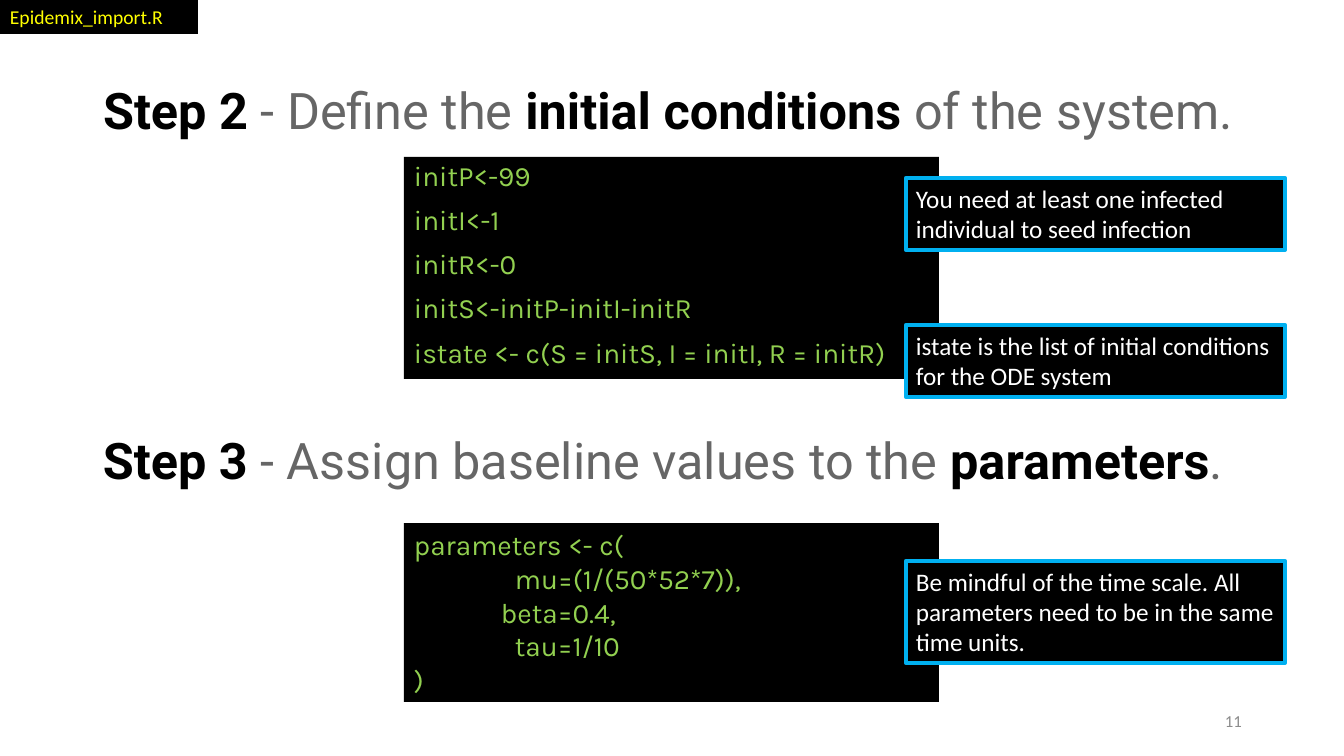
from pptx import Presentation
from pptx import util as u
from pptx.dml.color import RGBColor
from pptx.enum import shapes, text

PX = 914400 / 100.8
BLACK, GREY, GREEN, BLUE = "000000", "666666", "92D050", "00B0F0"


def px(length):
    return u.Emu(round(length * PX))


def colour(value):
    return RGBColor.from_string(value)


class Deck:
    heading_font, code_font, note_font = "Roboto", "Karla", "Calibri"

    def __init__(self):
        self.prs = Presentation()
        self.prs.slide_width, self.prs.slide_height = px(1344), px(756)
        self.slide = self.prs.slides.add_slide(self.prs.slide_layouts[5])

    def set_lines(self, shape, lines, font, size, ink,
                  align=text.PP_ALIGN.LEFT):
        frame = shape.text_frame
        frame.text = "\n".join(lines)
        frame.word_wrap = True
        frame.auto_size = text.MSO_AUTO_SIZE.NONE
        frame.vertical_anchor = text.MSO_ANCHOR.TOP
        for paragraph in frame.paragraphs:
            paragraph.alignment = align
            paragraph.font.name = font
            paragraph.font.size = u.Pt(size)
            paragraph.font.color.rgb = colour(ink)
        return frame

    def textbox(self, box):
        return self.slide.shapes.add_textbox(*map(px, box))

    def heading(self, shape, parts):
        frame = self.set_lines(shape, [""], self.heading_font, 36, BLACK)
        paragraph = frame.paragraphs[0]
        for position, part in enumerate(parts):
            strong = position % 2 == 0
            run = paragraph.add_run()
            run.text = part
            run.font.bold = strong
            run.font.color.rgb = colour(BLACK if strong else GREY)
        return frame

    def title(self, box, parts):
        title = self.slide.shapes.title
        title.left, title.top, title.width, title.height = map(px, box)
        frame = self.heading(title, parts)
        frame.vertical_anchor = text.MSO_ANCHOR.MIDDLE
        frame.paragraphs[0].line_spacing = 0.9

    def panel(self, box, lines, font, size, ink, border=None):
        panel = self.slide.shapes.add_shape(
            shapes.MSO_SHAPE.RECTANGLE, *map(px, box))
        panel.shadow.inherit = False
        panel.fill.solid()
        panel.fill.fore_color.rgb = colour(BLACK)
        if border:
            panel.line.color.rgb = colour(border)
            panel.line.width = u.Pt(3)
        else:
            panel.line.fill.background()
        return self.set_lines(panel, lines, font, size, ink)

    def code(self, top, height, lines):
        return self.panel((404, top, 535, height), lines,
                          self.code_font, 20, GREEN)

    def note(self, top, height, message):
        self.panel((906, top, 379, height), [message],
                   self.note_font, 18, "FFFFFF", BLUE)

    def page_number(self, box, number):
        frame = self.set_lines(self.textbox(box), [number], self.note_font,
                               12, "8C8C8C", text.PP_ALIGN.RIGHT)
        frame.vertical_anchor = text.MSO_ANCHOR.MIDDLE


def main():
    deck = Deck()
    deck.title((93, 40, 1159, 146),
               ["Step 2", " - Define the ", "initial conditions ",
                "of the system."])

    initial_state = deck.code(157, 222, [
        "initP<-99", "initI<-1", "initR<-0", "initS<-initP-initI-initR",
        "istate <- c(S = initS, I = initI, R = initR)"])
    for statement in initial_state.paragraphs:
        statement.line_spacing = 0.9
        statement.space_before = u.Pt(10)

    deck.page_number((950, 701, 302, 40), "11")
    deck.heading(deck.textbox((93, 424, 1211, 72)),
                 ["Step 3", " - Assign baseline values to the ",
                  "parameters", "."])

    baseline = deck.code(523, 179, [
        "parameters <- c(", "mu=(1/(50*52*7)),", "beta=0.4,", "tau=1/10",
        ")"])
    for argument, indent in zip(baseline.paragraphs[1:4], (101, 87, 101)):
        argument._p.get_or_add_pPr().set("marL", str(px(indent)))

    for top, height, message in (
            (178, 72, "You need at least one infected individual "
                      "to seed infection"),
            (325, 72, "istate is the list of initial conditions "
                      "for the ODE system"),
            (561, 102, "Be mindful of the time scale. All parameters "
                       "need to be in the same time units.")):
        deck.note(top, height, message)

    deck.panel((0, 0, 198, 34), ["Epidemix_import.R"],
               deck.note_font, 14, "FFFF00")
    deck.prs.save("out.pptx")


if __name__ == "__main__":
    main()
